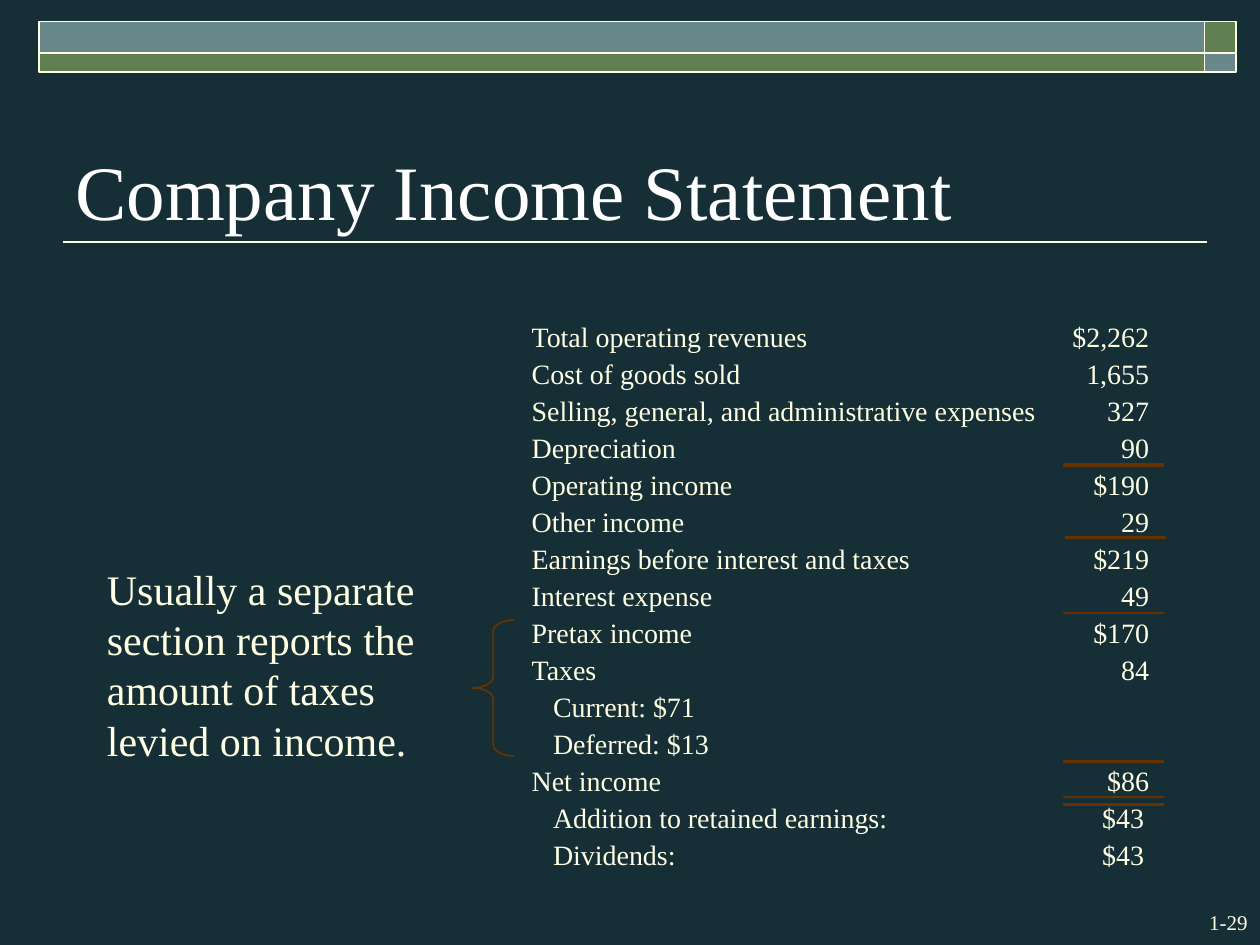
"""Build the income statement slide."""
import pptx
import pptx.dml.color
import pptx.enum.shapes
import pptx.enum.text
import pptx.oxml
import pptx.util

IN = pptx.util.Inches
SHAPE = pptx.enum.shapes.MSO_SHAPE
ALIGN = pptx.enum.text.PP_ALIGN
ANCHOR = pptx.enum.text.MSO_ANCHOR
NAVY, CREAM, WHITE = "162E36", "FFFFE3", "FFFFFF"
GREEN, TEAL, BROWN, BLACK = "618052", "69888B", "663300", "000000"


def paint(target, color):
    if hasattr(target, "solid"):
        target.solid()
        target.fore_color.rgb = pptx.dml.color.RGBColor.from_string(color)
    else:
        target.color.rgb = pptx.dml.color.RGBColor.from_string(color)


def add_text(x, y, w, h, text, size, color=CREAM, align=ALIGN.LEFT, inset=(0, 0), anchor=ANCHOR.TOP):
    tf = s.shapes.add_textbox(IN(x), IN(y), IN(w), IN(h)).text_frame
    tf.word_wrap = True
    tf.vertical_anchor = anchor
    tf.margin_left = tf.margin_right = IN(inset[0])
    tf.margin_top = tf.margin_bottom = IN(inset[1])
    p = tf.paragraphs[0]
    p.text = text
    p.alignment = align
    p.font.name = "Times New Roman"
    p.font.size = pptx.util.Pt(size)
    paint(p.font, color)


prs = pptx.Presentation()
prs.slide_width, prs.slide_height = IN(10), IN(7.5)
s = prs.slides.add_slide(prs.slide_layouts[6])
paint(s.background.fill, NAVY)

line = s.shapes.add_connector(pptx.enum.shapes.MSO_CONNECTOR.STRAIGHT, IN(9.58), IN(1.92), IN(0.5), IN(1.92))
paint(line.line, CREAM)
line.line.width = pptx.util.Pt(1)
pr = line._element.spPr
pr.append(pptx.oxml.parse_xml('<a:effectLst xmlns:a="http://schemas.openxmlformats.org/drawingml/2006/main"/>'))

columns = [(0.31, 9.25), (9.56, 0.25)]
bands = [(0.17, 0.25), (0.42, 0.15)]
blocks = [(x, y, w, h, (TEAL, GREEN)[(i + j) % 2], CREAM, 1)
          for i, (x, w) in enumerate(columns) for j, (y, h) in enumerate(bands)]
rules = [(8.46 if y == 4.26 else 8.44, y, 0.79, 0.01, BLACK, BROWN, 0.75)
         for y in (3.68, 3.69, 4.26, 4.86, 6.04, 6.32, 6.38)]
for x, y, w, h, fill, edge, width in blocks + rules:
    sp = s.shapes.add_shape(SHAPE.RECTANGLE, IN(x), IN(y), IN(w), IN(h))
    sp.shadow.inherit = False
    paint(sp.fill, fill)
    paint(sp.line, edge)
    sp.line.width = pptx.util.Pt(width)

brace = s.shapes.add_shape(SHAPE.LEFT_BRACE, IN(3.75), IN(4.92), IN(0.33), IN(1.08))
brace.shadow.inherit = False
brace.adjustments[0] = 0.27
brace.fill.background()
paint(brace.line, BROWN)
brace.line.width = pptx.util.Pt(1)

statement = [
    ("Total operating revenues", "$2,262", 0),
    ("Cost of goods sold", "1,655", 0),
    ("Selling, general, and administrative expenses", "327", 0),
    ("Depreciation", "90", 0),
    ("Operating income", "$190", 0),
    ("Other income", "29", 0),
    ("Earnings before interest and taxes", "$219", 0),
    ("Interest expense", "49", 0),
    ("Pretax income", "$170", 0),
    ("Taxes", "84", 0),
    ("Current: $71", "", 1),
    ("Deferred: $13", "", 1),
    ("Net income", "$86", 0),
    ("Addition to retained earnings:", "$43", 1),
    ("Dividends:", "$43", 1),
]
pitch = (6.65 - 2.54) / (len(statement) - 1)
for row, (label, amount, level) in enumerate(statement):
    y = 2.54 + row * pitch
    add_text(4.22 + 0.17 * level, y, 4.2, 0.27, label, 16)
    if amount:
        add_text(8.42 - 0.04 * level, y, 0.7, 0.27, amount, 16, align=ALIGN.RIGHT)

add_text(0.5, 0.67, 9, 1.25, "Company Income Statement", 44, WHITE, inset=(0.1, 0.05), anchor=ANCHOR.BOTTOM)
add_text(0.75, 4.42, 2.75, 1.7, "Usually a separate section reports the amount of taxes levied on income.",
         24, inset=(0.1, 0.05))
add_text(9.17, 7.17, 0.83, 0.3, "1-29", 12, align=ALIGN.RIGHT, inset=(0.1, 0.05))

prs.save("out.pptx")
